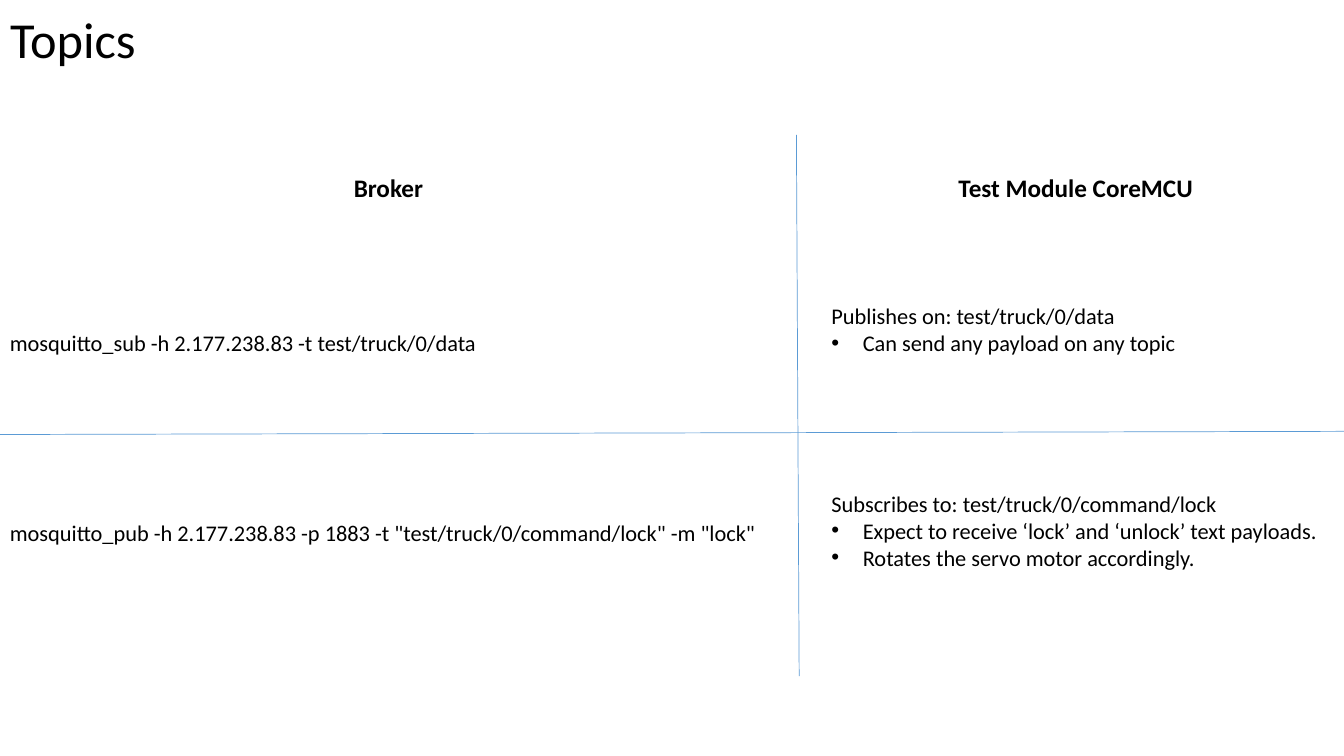
from lxml.etree import SubElement
from pptx import Presentation
from pptx.dml.color import RGBColor
from pptx.enum.shapes import MSO_CONNECTOR
from pptx.enum.text import MSO_ANCHOR, MSO_AUTO_SIZE, PP_ALIGN
from pptx.oxml.ns import qn
from pptx.util import Cm, Pt

BLACK = RGBColor(0x00, 0x00, 0x00)
BLUE = RGBColor(0x5B, 0x9B, 0xD5)
FONT = "Calibri"
LINE_HEIGHT = 0.68
BULLET_INDENT = Cm(0.79)

BROKER_COMMANDS = [
    (8.18, 12.42, "mosquitto_sub -h 2.177.238.83 -t test/truck/0/data"),
    (12.95, 19.58, 'mosquitto_pub -h 2.177.238.83 -p 1883 -t "test/truck/0/command/lock" -m "lock"'),
]
MODULE_TOPICS = [
    (7.49, "Publishes on: test/truck/0/data", ["Can send any payload on any topic"]),
    (
        12.22,
        "Subscribes to: test/truck/0/command/lock",
        [
            "Expect to receive ‘lock’ and ‘unlock’ text payloads.",
            "Rotates the servo motor accordingly.",
        ],
    ),
]


def write_text(paragraph, text, size=16, bold=False, align=PP_ALIGN.LEFT, spacing=1.0):
    paragraph.alignment = align
    paragraph.line_spacing = spacing
    paragraph.space_before = paragraph.space_after = Pt(0)
    run = paragraph.add_run()
    run.text = text
    run.font.name = FONT
    run.font.size = Pt(size)
    run.font.bold = bold
    run.font.color.rgb = BLACK


def set_bullet(paragraph, bulleted):
    properties = paragraph._p.get_or_add_pPr()
    indent = BULLET_INDENT if bulleted else 0
    properties.set("marL", str(indent))
    properties.set("indent", str(-indent))
    if bulleted:
        SubElement(properties, qn("a:buFont"), typeface="Arial")
        SubElement(properties, qn("a:buChar"), char="•")
    else:
        SubElement(properties, qn("a:buNone"))


def place(shape, left, top, width, height):
    shape.left, shape.top = Cm(left), Cm(top)
    shape.width, shape.height = Cm(width), Cm(height)


def add_label(slide, left, top, width, height, text, **text_format):
    label = slide.shapes.add_textbox(Cm(left), Cm(top), Cm(width), Cm(height))
    label.text_frame.word_wrap = False
    write_text(label.text_frame.paragraphs[0], text, **text_format)


def add_heading(slide, left, top, width, text, text_width):
    add_label(
        slide, left + (width - text_width) / 2, top, text_width, 1.02, text,
        size=18, bold=True, align=PP_ALIGN.CENTER,
    )


def add_title(slide, left, top, width, height):
    title = slide.shapes.title
    place(title, left, top, width, height)
    title.text_frame.auto_size = MSO_AUTO_SIZE.NONE
    title.text_frame.vertical_anchor = MSO_ANCHOR.MIDDLE
    write_text(title.text_frame.paragraphs[0], "Topics", size=36, spacing=0.9)


def add_broker_column(slide, left, top, width):
    add_heading(slide, left, top, width, "Broker", 2.26)
    for command_top, command_width, command in BROKER_COMMANDS:
        add_label(slide, left, command_top, command_width, 0.94, command)


def add_module_column(slide, left, top, width):
    add_heading(slide, left, top, width, "Test Module CoreMCU", 6.68)
    bodies = list(slide.placeholders)[1:]
    for body, (topic_top, topic, details) in zip(bodies, MODULE_TOPICS):
        lines = [topic] + details
        place(body, left, topic_top, width, len(lines) * LINE_HEIGHT + 0.26)
        frame = body.text_frame
        frame.auto_size = MSO_AUTO_SIZE.NONE
        frame.vertical_anchor = MSO_ANCHOR.TOP
        for index, line in enumerate(lines):
            paragraph = frame.add_paragraph() if index else frame.paragraphs[0]
            write_text(paragraph, line)
            set_bullet(paragraph, bulleted=index > 0)


def add_divider(slide, start_x, start_y, end_x, end_y):
    divider = slide.shapes.add_connector(
        MSO_CONNECTOR.STRAIGHT, Cm(start_x), Cm(start_y), Cm(end_x), Cm(end_y)
    )
    divider.line.color.rgb = BLUE
    divider.line.width = Pt(0.5)
    SubElement(divider._element.spPr, qn("a:effectLst"))


def main():
    presentation = Presentation()
    presentation.slide_width = Cm(33.87)
    presentation.slide_height = Cm(19.05)
    two_content = presentation.slide_layouts.get_by_name("Two Content")
    slide = presentation.slides.add_slide(two_content)
    add_title(slide, 0, 0.13, 32.69, 1.85)
    add_broker_column(slide, 0, 4.22, 19.58)
    add_module_column(slide, 20.7, 4.22, 12.82)
    add_divider(slide, 0, 10.95, 33.87, 10.87)
    add_divider(slide, 20.14, 17.04, 20.07, 3.4)
    presentation.save("out.pptx")


if __name__ == "__main__":
    main()
